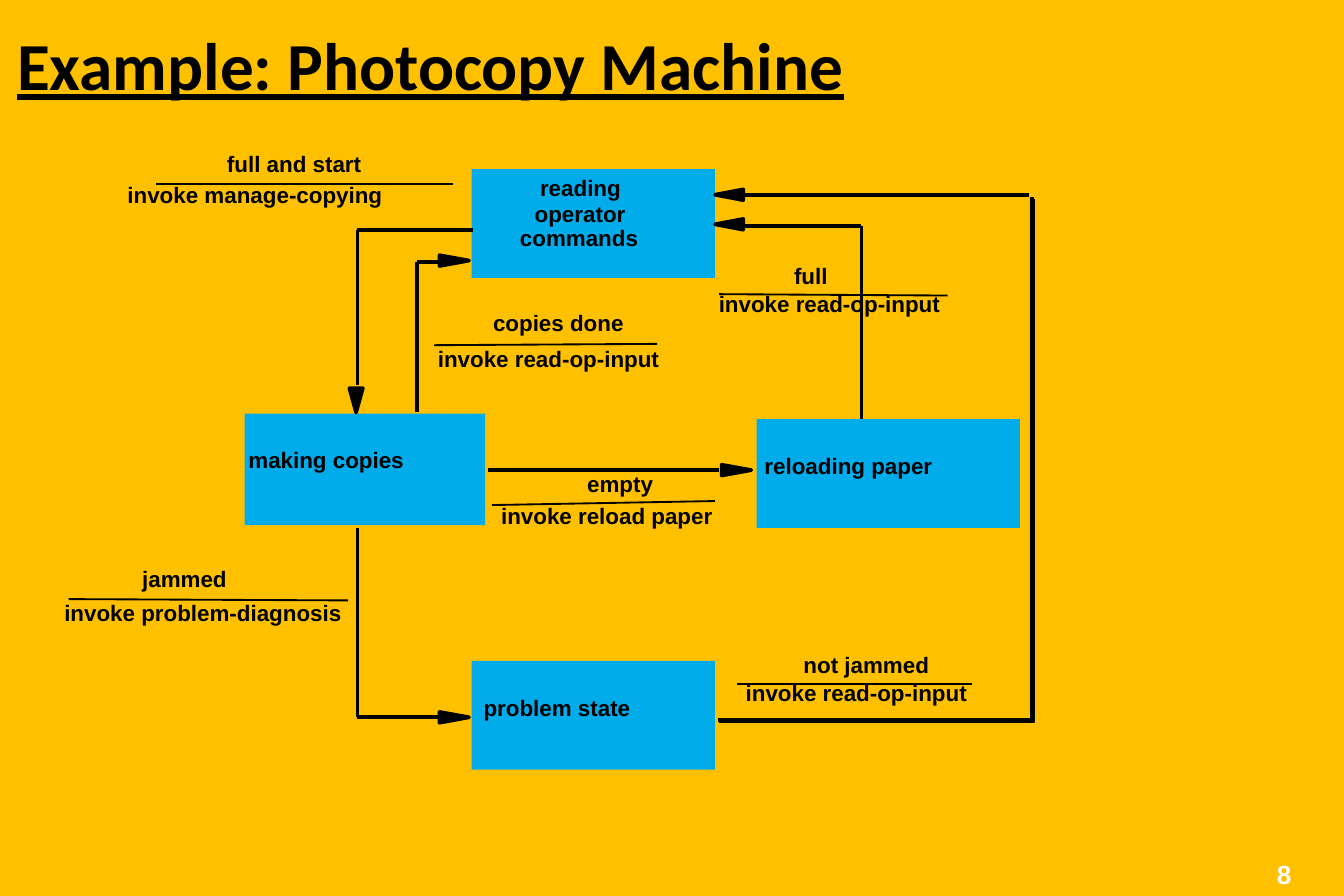
from itertools import accumulate, pairwise

from lxml import etree
from pptx import Presentation
from pptx import util as u
from pptx.dml.color import RGBColor
from pptx.enum import shapes, text
from pptx.oxml import ns

PX = 9144
BACK, BLUE, BLACK, WHITE = "FFC000", "02ABEA", "000000", "FFFFFF"
LABEL = dict(name="Arial", size=u.Pt(12), bold=True)
TITLE = dict(name="Calibri", size=u.Pt(36), bold=True, underline=True)
NUMBER = dict(name="Arial", size=u.Pt(14), bold=True)

STATES = [
    ((351, 126, 181, 81), [("reading", 41, -1, 81, 50), ("operator", 37, 18, 88, 50),
                           ("commands", 26, 36, 109, 30)]),
    ((182, 308, 179, 83), [("making copies", -7, 19, 137, 30)]),
    ((351, 492, 181, 81), [("problem state", -1, 20, 130, 30)]),
    ((563, 312, 196, 81), [("reloading paper", -4, 20, 146, 30)]),
]
FLOWS = [
    ((352, 171), [(-86, 0), (0, 116)], (-1, 20)),
    ((310, 307), [(0, -112), (16, 0)], (23, -1)),
    ((266, 393), [(0, 141), (60, 0)], (23, 0)),
    ((641, 312), [(0, -144), (-88, 0)], (-21, -1)),
    ((363, 350), [(172, 0)], (24, 0)),
    ((766, 145), [(-213, 0)], (-21, 0)),
]
TRANSITIONS = [
    ((525, 190, 187, 51), "full", (56, 45), "invoke read-op-input", (10, 29, 170, 30)),
    ((85, 107, 212, 53), "full and start", (74, 121), "invoke manage-copying", (31, 30, 221, 30)),
    ((316, 225, 187, 57), "copies done", (41, 118), "invoke read-op-input", (7, 32, 166, 31)),
    ((363, 345, 179, 54), "empty", (64, 69), "invoke reload paper", (3, 31, 166, 28)),
    ((38, 416, 229, 55), "jammed", (58, 83), "invoke problem-diagnosis", (13, 30, 208, 31)),
    ((545, 480, 187, 51), "not jammed", (43, 115), "invoke read-op-input", (3, 29, 175, 29)),
]


def px(*values):
    """Turn px lengths into EMU."""
    return [u.Emu(v * PX) for v in values]


def paint(target, color):
    """Give a fill format a solid hex colour."""
    target.solid()
    target.fore_color.rgb = RGBColor.from_string(color)


def label(s, box, words, font=LABEL, color=BLACK, insets=(10, 5), wrap=False,
          anchor=text.MSO_ANCHOR.TOP, spacing=None):
    """Write one paragraph of text in a box."""
    tf = s.shapes.add_textbox(*px(*box)).text_frame
    side, end = px(*insets)
    frame = dict(word_wrap=wrap, vertical_anchor=anchor, margin_left=side, margin_right=side,
                 margin_top=end, margin_bottom=end,
                 auto_size=text.MSO_AUTO_SIZE.SHAPE_TO_FIT_TEXT)
    for key, value in frame.items():
        setattr(tf, key, value)
    p = tf.paragraphs[0]
    p.line_spacing = spacing
    r = p.add_run()
    r.text = words
    for key, value in font.items():
        setattr(r.font, key, value)
    paint(r.font.fill, color)


def line(s, start, end, width=2):
    """Draw a straight black line between two points."""
    sp = s.shapes.add_connector(shapes.MSO_CONNECTOR.STRAIGHT, *px(*start, *end))
    paint(sp.line.fill, BLACK)
    sp.line.width = u.Pt(width)
    etree.SubElement(sp._element.spPr, ns.qn("a:effectLst"))


def outline(s, points, closed):
    """Draw a black polygon, or an unfilled path when it is open."""
    builder = s.shapes.build_freeform(*points[0], scale=PX)
    builder.add_line_segments(points[1:], close=closed)
    sp = builder.convert_to_shape()
    sp.shadow.inherit = False
    if closed:
        paint(sp.fill, BLACK)
    else:
        sp.fill.background()
    paint(sp.line.fill, BLACK)
    sp.line.width = u.Pt(2)


def state(s, box, labels):
    """Draw a state block with its lines of text."""
    sp = s.shapes.add_shape(shapes.MSO_SHAPE.RECTANGLE, *px(*box))
    sp.shadow.inherit = False
    paint(sp.fill, BLUE)
    sp.line.fill.background()
    for words, dx, dy, w, h in labels:
        label(s, (box[0] + dx, box[1] + dy, w, h), words)


def flow(s, start, steps, head):
    """Draw right-angled segments from a start point, ending in an arrowhead."""
    points = list(accumulate(steps, lambda a, b: (a[0] + b[0], a[1] + b[1]), initial=start))
    for a, b in pairwise(points):
        line(s, a, b)
    (x, y), (dx, dy) = points[-1], head
    tip = x + dx, y + dy
    if abs(dx) > abs(dy):
        back = tip[0] - (22 if dx > 0 else -21)
        base = [(back, tip[1] - 4), (back, tip[1] + 4)]
    else:
        base = [(tip[0] - 5, tip[1] - 18), (tip[0] + 5, tip[1] - 18)]
    outline(s, [tip, *base], True)


def return_path(s, box):
    """Draw the doubled elbow from the problem state back to the top."""
    x, y, w, h = box
    for shift in (1, 0):
        left, top = x + shift, y + shift
        outline(s, [(left, top + h), (left + w, top + h), (left + w, top)], False)


def transition(s, box, trigger, place, action, rule):
    """Write a trigger over its action with a thin rule between them."""
    x, y, w, h = box
    indent, width = place
    x1, y1, dx, y2 = rule
    label(s, (x + indent, y, width, 50), trigger)
    label(s, (x, y + h - 30, w, 30), action)
    line(s, (x + x1, y + y1), (x + x1 + dx, y + y2), 1)


def main():
    """Build the state diagram slide."""
    prs = Presentation()
    prs.slide_width, prs.slide_height = px(1000, 667)
    s = prs.slides.add_slide(prs.slide_layouts[6])
    paint(s.background.fill, BACK)
    label(s, (943, 639, 38, 27), "8", NUMBER, WHITE, (7, 3), spacing=0.9)
    label(s, (3, 20, 809, 63), "Example: Photocopy Machine", TITLE, wrap=True,
          anchor=text.MSO_ANCHOR.MIDDLE, spacing=0.88)
    for item in STATES:
        state(s, *item)
    for item in FLOWS:
        flow(s, *item)
    return_path(s, (534, 147, 234, 389))
    for item in TRANSITIONS:
        transition(s, *item)
    prs.save("out.pptx")


if __name__ == "__main__":
    main()
